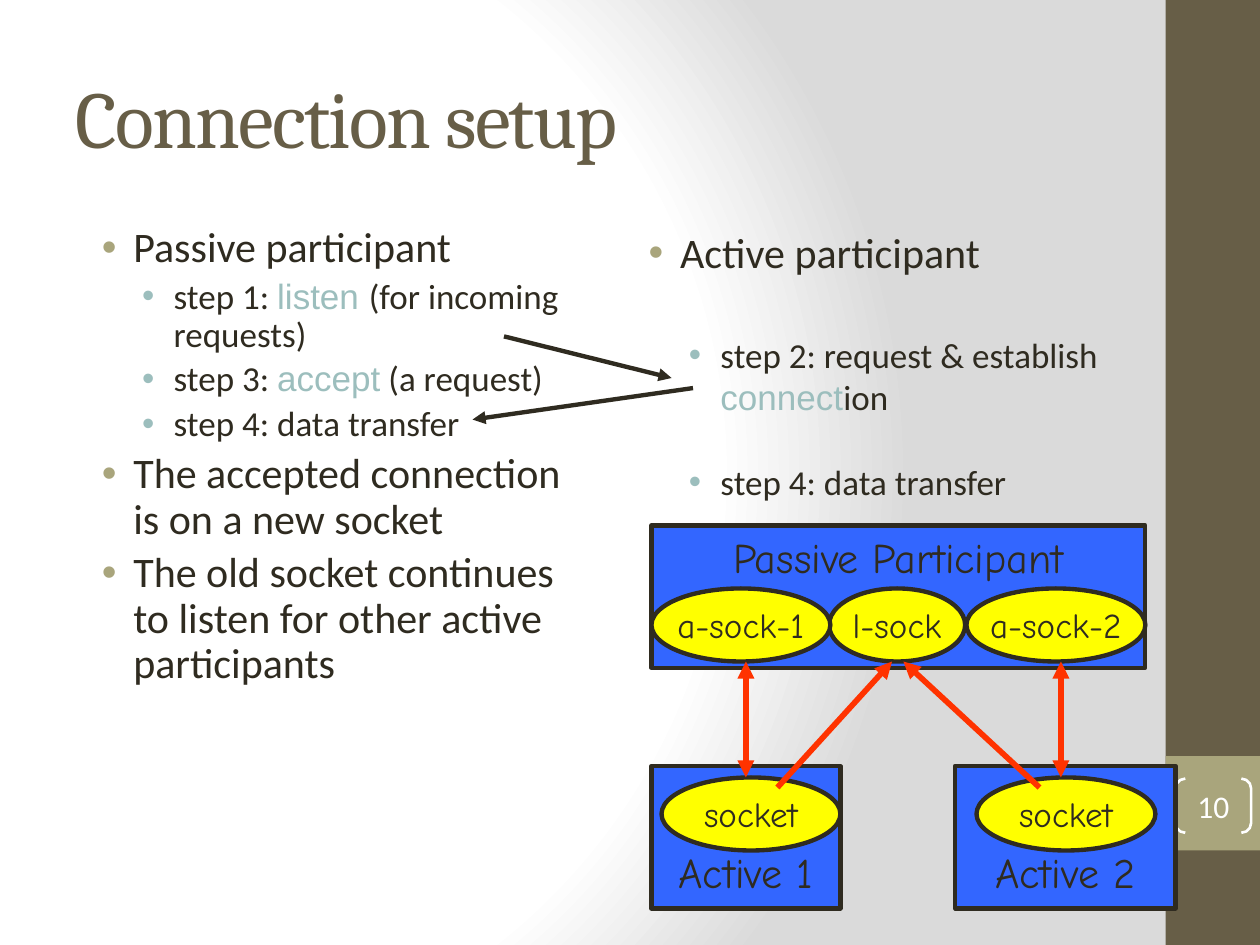
from pptx import Presentation
from pptx.dml.color import RGBColor
from pptx.enum.shapes import MSO_CONNECTOR, MSO_SHAPE
from pptx.enum.text import MSO_ANCHOR, PP_ALIGN
from pptx.oxml import parse_xml
from pptx.oxml.ns import nsdecls
from pptx.util import Inches, Pt

INK, BROWN, TAN, TEAL = "2F2B20", "675E47", "A9A57C", "9CBEBD"
BLUE, YELLOW, RED, WHITE = "3366FF", "FFFF00", "FF3300", "FFFFFF"
BODY, CODE, HEAD, HAND = "Calibri", "Arial", "Cambria", "Comic Neue"


def color(code):
    return RGBColor.from_string(code)


def node(tag, attrs="", inner=""):
    return parse_xml(f'<a:{tag} {nsdecls("a")} {attrs}>{inner}</a:{tag}>')


class Page:
    def __init__(self, deck):
        self.slide = deck.slides.add_slide(deck.slide_layouts[6])
        self.shapes = self.slide.shapes

    def back(self, stops, focus):
        marks = "".join(
            f'<a:gs pos="{pos * 1000}"><a:srgbClr val="{code}"/></a:gs>'
            for pos, code in stops)
        sides = " ".join(f'{k}="{v * 1000}"' for k, v in zip("ltrb", focus))
        self.slide.element.cSld.insert(0, parse_xml(
            f'<p:bg {nsdecls("p", "a")}><p:bgPr><a:gradFill rotWithShape="1">'
            f'<a:gsLst>{marks}</a:gsLst><a:path path="circle">'
            f'<a:fillToRect {sides}/></a:path></a:gradFill>'
            '<a:effectLst/></p:bgPr></p:bg>'))

    def run(self, para, text, size, font=BODY, code=INK):
        run = para.add_run()
        run.text = text
        run.font.size = Pt(size)
        run.font.name = font
        run.font.color.rgb = color(code)
        return run

    def shape(self, kind, box, fill=None, line=None, width=2.5):
        shape = self.shapes.add_shape(kind, *map(Inches, box))
        shape.shadow.inherit = False
        if fill:
            shape.fill.solid()
            shape.fill.fore_color.rgb = color(fill)
        else:
            shape.fill.background()
        if line:
            shape.line.color.rgb = color(line)
            shape.line.width = Pt(width)
        else:
            shape.line.fill.background()
        return shape

    def label(self, shape, text, size, font=HAND, code=INK,
              anchor=MSO_ANCHOR.MIDDLE, pad=0):
        frame = shape.text_frame
        frame.word_wrap = False
        frame.vertical_anchor = anchor
        frame.margin_left = frame.margin_right = 0
        frame.margin_top = frame.margin_bottom = Inches(pad)
        para = frame.paragraphs[0]
        para.alignment = PP_ALIGN.CENTER
        self.run(para, text, size, font, code)

    def text(self, box):
        frame = self.shapes.add_textbox(*map(Inches, box)).text_frame
        frame.word_wrap = True
        return frame

    def title(self, box, text):
        frame = self.text(box)
        frame.vertical_anchor = MSO_ANCHOR.MIDDLE
        run = self.run(frame.paragraphs[0], text, 46, HEAD, BROWN)
        run.font._element.set("spc", "-100")

    def list(self, box, items, space):
        frame = self.text(box)
        for i, (level, gap, parts) in enumerate(items):
            para = frame.paragraphs[0] if i == 0 else frame.add_paragraph()
            size, left, dot = ((24, 0.38, TAN), (20, 0.7, TEAL))[level]
            para.level = level
            para.line_spacing = space
            para.space_before = Pt(gap or size * 0.2)
            props = para._p.get_or_add_pPr()
            props.set("marL", str(Inches(left)))
            props.set("indent", str(Inches(-0.25)))
            props.append(node("buClr", "", f'<a:srgbClr val="{dot}"/>'))
            props.append(node("buFont", 'typeface="Arial"'))
            props.append(node("buChar", 'char="•"'))
            for j, part in enumerate(parts):
                look = (CODE, TEAL) if j % 2 else (BODY, INK)
                self.run(para, part, size, *look)

    def arrow(self, start, end, code, width, both=False):
        line = self.shapes.add_connector(
            MSO_CONNECTOR.STRAIGHT, *map(Inches, start + end))
        line.line.color.rgb = color(code)
        line.line.width = Pt(width)
        pen = line.line._get_or_add_ln()
        if both:
            pen.append(node("headEnd", 'type="triangle"'))
        pen.append(node("tailEnd", 'type="triangle"'))
        line._element.spPr.append(node("effectLst"))

    def host(self, box, text, anchor, pad):
        shape = self.shape(MSO_SHAPE.RECTANGLE, box, BLUE, INK)
        self.label(shape, text, 24, anchor=anchor, pad=pad)

    def sock(self, left, top, width, text):
        shape = self.shape(MSO_SHAPE.OVAL, (left, top, width, 0.58),
                           YELLOW, INK)
        self.label(shape, text, 20)


deck = Presentation()
deck.slide_width, deck.slide_height = Inches(10), Inches(7.5)
page = Page(deck)
page.back([(0, WHITE), (75, WHITE), (100, "DADADA")], (20, 50, 100, 50))
page.shape(MSO_SHAPE.RECTANGLE, (9.25, 0, 0.75, 7.5), BROWN)
page.shape(MSO_SHAPE.RECTANGLE, (9.25, 6, 0.75, 0.75), TAN)
page.title((0.5, 0.3, 8.33, 1.25), "Connection setup")

page.list((0.58, 1.75, 4.17, 5.33), [
    (0, 0, ["Passive participant"]),
    (1, 0, ["step 1: ", "listen ", "(for incoming requests)"]),
    (1, 0, ["step 3: ", "accept", " (a request)"]),
    (1, 0, ["step 4: data transfer"]),
    (0, 0, ["The accepted connection is on a new socket"]),
    (0, 0, ["The old socket continues to listen for other active "
            "participants"]),
], 0.9)
page.list((4.92, 1.75, 4.17, 2.5), [
    (0, 0, ["Active participant"]),
    (1, 32, ["step 2: request & establish ", "connect", "ion"]),
    (1, 25, ["step 4: data transfer"]),
], 1.0)

badge = page.shape(MSO_SHAPE.DOUBLE_BRACKET, (9.33, 6.18, 0.6, 0.43),
                   None, WHITE, 1.5)
badge.adjustments[0] = 0.18
page.label(badge, "10", 18, BODY, WHITE)

page.arrow((4, 2.67), (5.33, 3), INK, 2.5)
page.arrow((5.5, 3.08), (3.75, 3.33), INK, 2.5)

page.host((5.17, 4.17, 3.92, 1.13), "Passive Participant",
          MSO_ANCHOR.TOP, 0.05)
for left, width, text in ((6.58, 1.08, "l-sock"), (5.17, 1.42, "a-sock-1"),
                          (7.67, 1.42, "a-sock-2")):
    page.sock(left, 4.67, width, text)
for left, width, inner, text in ((5.17, 1.5, 5.25, "Active 1"),
                                 (7.58, 1.75, 7.75, "Active 2")):
    page.host((left, 6.08, width, 1.13), text, MSO_ANCHOR.BOTTOM, 0.09)
    page.sock(inner, 6.17, 1.42, "socket")
for start, tip, mid in ((6.17, 7.08, 5.92), (8.25, 7.17, 8.42)):
    page.arrow((start, 6.25), (tip, 5.25), RED, 3.25)
    page.arrow((mid, 5.25), (mid, 6.17), RED, 3.25, both=True)

deck.save("out.pptx")
